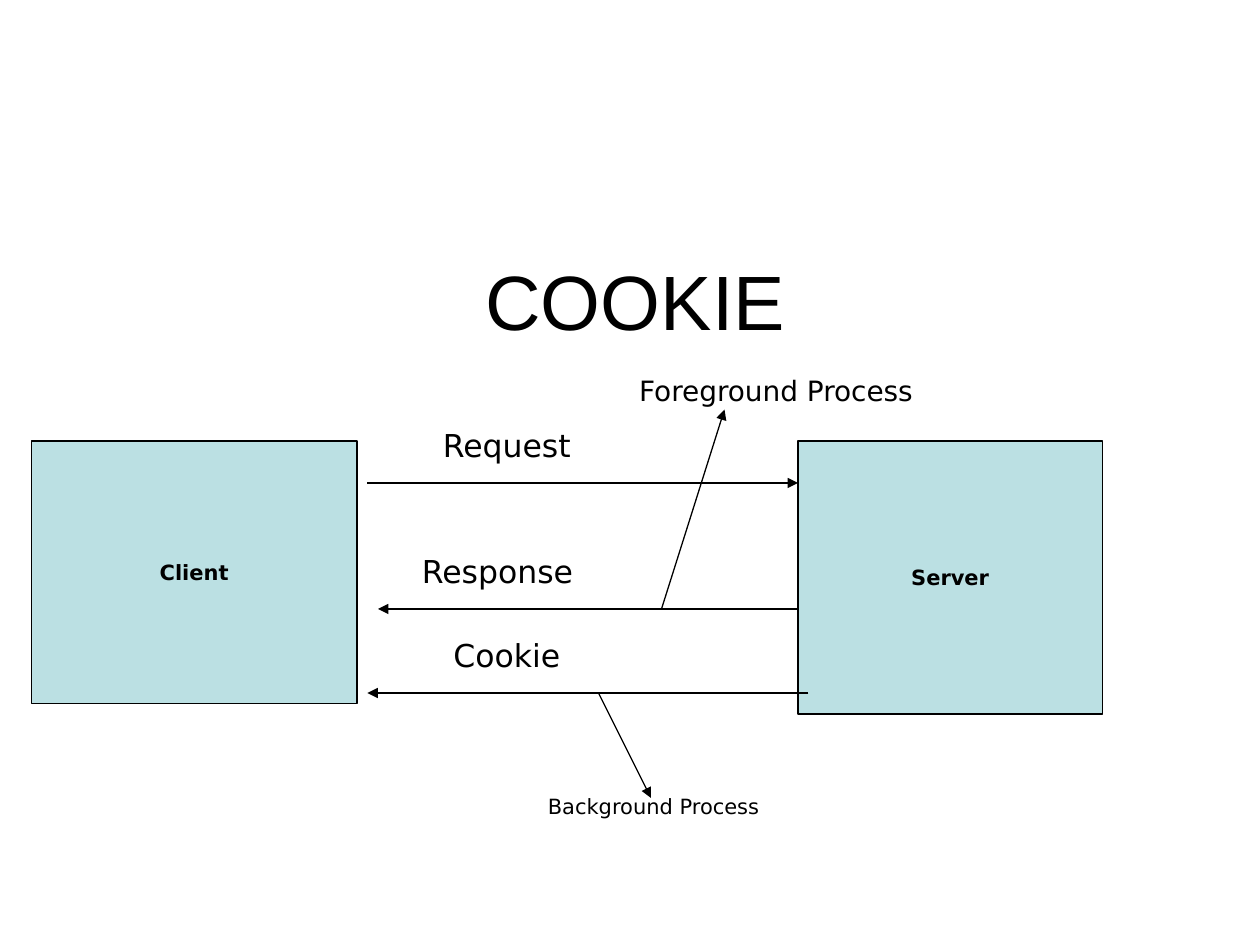
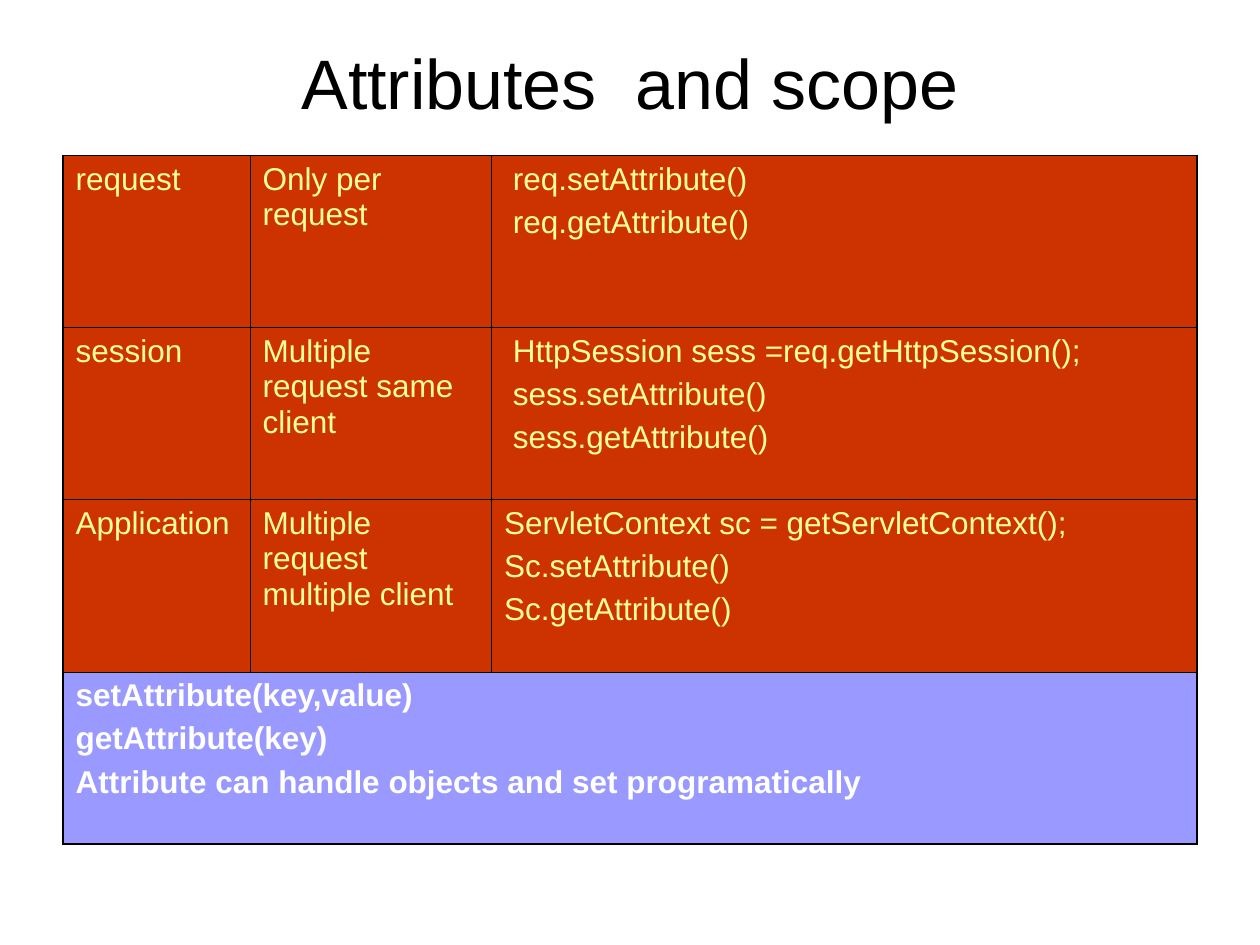
import pptx
import pptx.dml.color
import pptx.enum.shapes
import pptx.enum.text
import pptx.oxml
import pptx.oxml.ns
import pptx.util

HUES = {"ink": "000000", "box": "BBE0E3", "red": "CC3300",
        "cream": "FFFF99", "blue": "9999FF", "white": "FFFFFF"}
SANS, WIDE = "Arial", "DejaVu Sans"
COLS, ROWS = 120, 90
ALIGN = pptx.enum.text.PP_ALIGN
MIDDLE = pptx.enum.text.MSO_ANCHOR.MIDDLE
NS = pptx.oxml.ns.nsdecls("a")

deck = pptx.Presentation()
deck.slide_width = pptx.util.Inches(10)
deck.slide_height = pptx.util.Inches(7.5)


def across(cols):
    """Turn grid columns into a length."""
    return round(deck.slide_width * cols / COLS)


def down(rows):
    """Turn grid rows into a length."""
    return round(deck.slide_height * rows / ROWS)


def area(left, top, width, height):
    """Turn a box on the grid into lengths."""
    return across(left), down(top), across(width), down(height)


def hue(name):
    """Look up a named colour."""
    return pptx.dml.color.RGBColor.from_string(HUES[name])


def write(frame, text, size=18, font=WIDE, color="ink", bold=False,
          align=ALIGN.LEFT, before=0, wrap=True, anchor=None):
    """Fill a text frame, one paragraph to a line."""
    frame.word_wrap = wrap
    if anchor is not None:
        frame.vertical_anchor = anchor
    for n, line in enumerate(text.split("\n")):
        para = frame.add_paragraph() if n else frame.paragraphs[0]
        para.alignment = align
        para.space_before = pptx.util.Pt(before)
        run = para.add_run()
        run.text = line
        run.font.size = pptx.util.Pt(size)
        run.font.name = font
        run.font.bold = bold
        run.font.color.rgb = hue(color)


def start(title, box, size):
    """Add a slide with its title set in a box."""
    slide = deck.slides.add_slide(deck.slide_layouts[5])
    head = slide.shapes.title
    head.left, head.top, head.width, head.height = area(*box)
    write(head.text_frame, title, size=size, font=SANS,
          align=ALIGN.CENTER, anchor=MIDDLE)
    head.text_frame.auto_size = pptx.enum.text.MSO_AUTO_SIZE.NONE
    return slide


def node(slide, text, box):
    """Draw a party as a filled box."""
    shape = slide.shapes.add_shape(
        pptx.enum.shapes.MSO_SHAPE.RECTANGLE, *area(*box))
    shape.shadow.inherit = False
    shape.fill.solid()
    shape.fill.fore_color.rgb = hue("box")
    shape.line.color.rgb = hue("ink")
    shape.line.width = pptx.util.Pt(0.75)
    write(shape.text_frame, text, size=12, bold=True,
          align=ALIGN.CENTER, wrap=False, anchor=MIDDLE)


def arrow(slide, x1, y1, x2, y2):
    """Draw a thin line with a head at its end."""
    line = slide.shapes.add_connector(
        pptx.enum.shapes.MSO_CONNECTOR.STRAIGHT,
        across(x1), down(y1), across(x2), down(y2))
    line.line.color.rgb = hue("ink")
    line.line.width = pptx.util.Pt(0.75)
    line.line._get_or_add_ln().append(
        pptx.oxml.parse_xml(f'<a:tailEnd {NS} type="triangle"/>'))
    line._element.spPr.append(pptx.oxml.parse_xml(f"<a:effectLst {NS}/>"))


def label(slide, text, box, size):
    """Set a line of text beside an arrow."""
    frame = slide.shapes.add_textbox(*area(*box)).text_frame
    write(frame, text, size=size, before=size * 0.625)


def flow(slide, left, top):
    """Draw the exchange between client and server."""
    node(slide, "Client", (left, top + 7, 31, 25))
    node(slide, "Server", (left + 73, top + 7, 29, 26))
    for x1, y1, x2, y2 in ((32, 11, 73, 11), (73, 23, 33, 23),
                           (74, 31, 32, 31), (54, 31, 59, 41),
                           (60, 23, 66, 4)):
        arrow(slide, left + x1, top + y1, left + x2, top + y2)
    for text, x, y, width, size in (
            ("Request", 38, 5, 24, 18), ("Response", 36, 17, 27, 18),
            ("Cookie", 39, 25, 26, 18),
            ("Foreground Process", 56.7, 0, 30, 16),
            ("Background Process", 48, 40, 47, 12)):
        label(slide, text, (left + x, top + y, width, size / 3.75), size)


def edge(cell, thick):
    """Rule a cell, with heavier lines on the named sides."""
    prop = cell._tc.get_or_add_tcPr()
    for n, side in enumerate("LRTB"):
        size = pptx.util.Pt(1.08 if side in thick else 0.45)
        prop.insert(n, pptx.oxml.parse_xml(
            f'<a:ln{side} {NS} w="{size}"><a:solidFill>'
            f'<a:srgbClr val="{HUES["ink"]}"/></a:solidFill></a:ln{side}>'))


def paint(cell, text, fill, thick, **style):
    """Fill, rule and write one cell."""
    cell.fill.solid()
    cell.fill.fore_color.rgb = hue(fill)
    edge(cell, thick)
    if text:
        write(cell.text_frame, text, font=SANS, before=4.5, **style)


def scopes(slide, box, rows, note):
    """Lay out the scopes over a note that spans all columns."""
    count = len(rows) + 1
    shape = slide.shapes.add_table(count, 3, *area(*box))
    table = shape.table
    table.first_row = table.horz_banding = False
    for col, share in zip(table.columns, (0.165, 0.213, 0.622)):
        col.width = across(box[2] * share)
    for row in table.rows:
        row.height = down(box[3] / count)
    sides = ("L", "", "R")
    for r, texts in enumerate(rows):
        for c, text in enumerate(texts):
            paint(table.cell(r, c), text, "red",
                  sides[c] + ("" if r else "T"), color="cream")
    last = count - 1
    table.cell(last, 0).merge(table.cell(last, 2))
    for c, text in enumerate((note, "", "")):
        paint(table.cell(last, c), text, "blue", "LRB",
              color="white", bold=True)


def main():
    """Build both slides and save the deck."""
    flow(start("COOKIE", (6, 23, 109, 11), 44), 3, 35)
    scopes(
        start("Attributes  and scope", (6, 3.6, 108, 8.3), 40),
        (6, 14.8, 108, 65.6),
        (("request", "Only per request",
          " req.setAttribute()\n req.getAttribute()"),
         ("session", "Multiple request same client",
          " HttpSession sess =req.getHttpSession();\n"
          " sess.setAttribute()\n sess.getAttribute()"),
         ("Application", "Multiple request multiple client",
          "ServletContext sc = getServletContext();\n"
          "Sc.setAttribute()\nSc.getAttribute()")),
        "setAttribute(key,value)\ngetAttribute(key)\n"
        "Attribute can handle objects and set programatically")
    deck.save("out.pptx")


if __name__ == "__main__":
    main()
